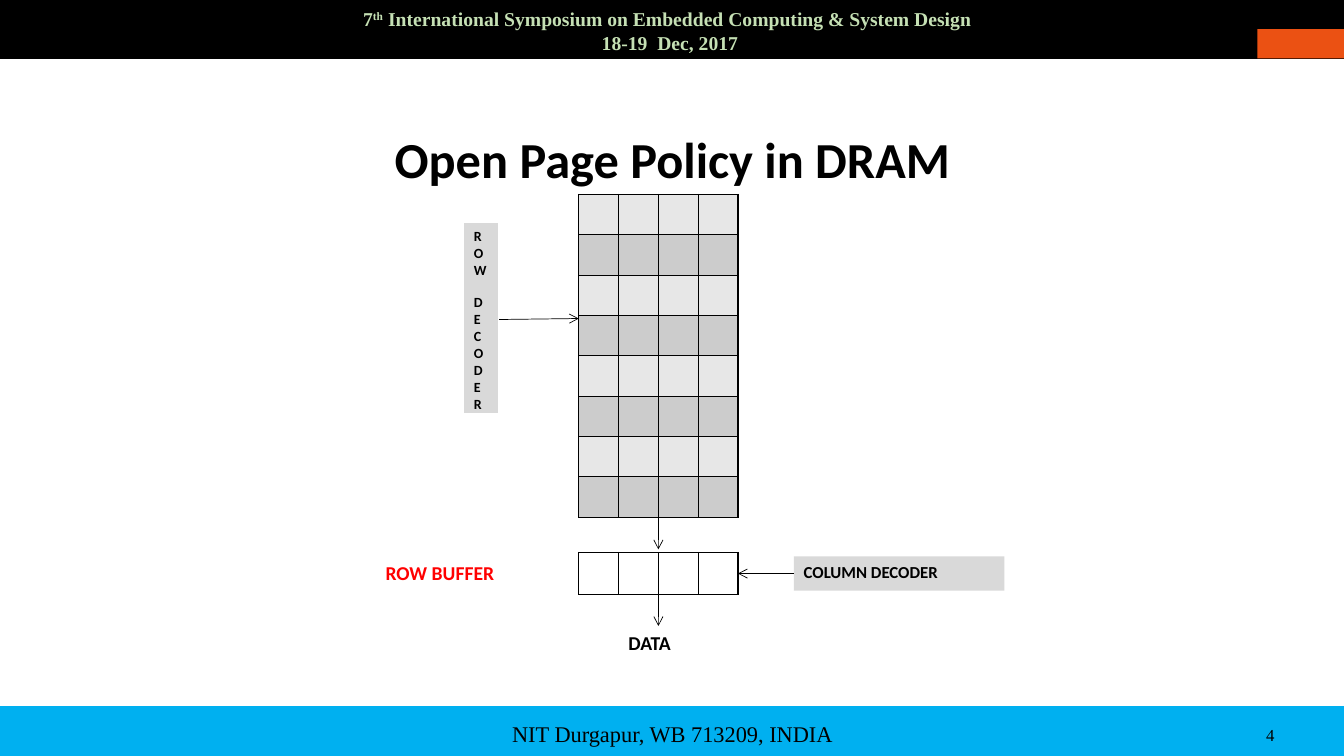
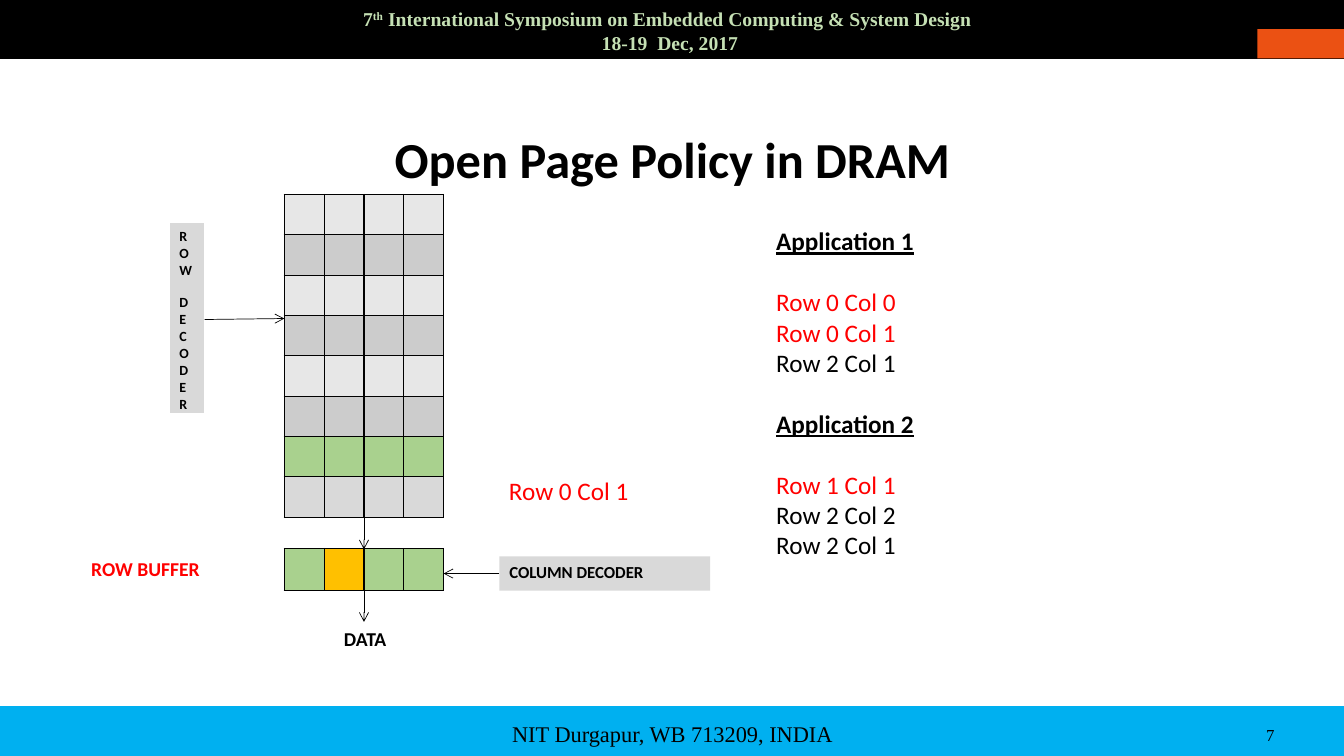
from lxml.etree import SubElement
from pptx import Presentation
from pptx.dml.color import RGBColor
from pptx.enum.shapes import MSO_CONNECTOR, MSO_SHAPE
from pptx.enum.text import MSO_ANCHOR, PP_ALIGN
from pptx.oxml.ns import qn
from pptx.util import Inches, Pt

BLACK = RGBColor(0x00, 0x00, 0x00)
WHITE = RGBColor(0xFF, 0xFF, 0xFF)
RED = RGBColor(0xFF, 0x00, 0x00)
FOOTER_BLUE = RGBColor(0x00, 0xB0, 0xF0)
HEADER_GREEN = RGBColor(0xC5, 0xE0, 0xB4)
CORNER_ORANGE = RGBColor(0xEB, 0x51, 0x13)
LIGHT_GREY = RGBColor(0xE7, 0xE7, 0xE7)
MID_GREY = RGBColor(0xCC, 0xCC, 0xCC)
LABEL_GREY = RGBColor(0xD9, 0xD9, 0xD9)
OPEN_GREEN = RGBColor(0xA9, 0xD1, 0x8E)
HIT_AMBER = RGBColor(0xFF, 0xC0, 0x00)

SANS, SERIF = "Calibri", "Times New Roman"
SLIDE_W, SLIDE_H = 13.33, 7.5
HEADER_H, FOOTER_H = 0.58, 0.49
CORNER_W, CORNER_H = 0.86, 0.29

# Memory grid: lengths inside the diagram are counted in these columns and rows
COLS, ROWS = 4, 8
COL, ROW = 0.395, 0.4
GRID_TOP = 1.93
GRID_W, GRID_BOTTOM = COLS * COL, GRID_TOP + ROWS * ROW
BUFFER_H = 0.42
STRIPES = [LIGHT_GREY, MID_GREY] * (ROWS // 2)


def box(left, top, width, height):
    return [Inches(length) for length in (left, top, width, height)]


def add_run(paragraph, text, size, color=BLACK, bold=False, font=SANS,
            underline=None, baseline=None):
    run = paragraph.add_run()
    run.text = text
    run.font.name, run.font.size = font, Pt(size)
    run.font.bold, run.font.underline = bold, underline
    run.font.color.rgb = color
    if baseline:
        run.font._element.set("baseline", str(baseline))


def add_text(slide, place, text=None, size=18, align=PP_ALIGN.LEFT,
             anchor=MSO_ANCHOR.TOP, **style):
    """Add a wrapping text box and return its frame."""
    frame = slide.shapes.add_textbox(*box(*place)).text_frame
    frame.word_wrap = True
    frame.vertical_anchor = anchor
    frame.paragraphs[0].alignment = align
    if text:
        add_run(frame.paragraphs[0], text, size, **style)
    return frame


def add_rect(slide, place, fill, outlined=False):
    rect = slide.shapes.add_shape(MSO_SHAPE.RECTANGLE, *box(*place))
    rect.shadow.inherit = False
    rect.fill.solid()
    rect.fill.fore_color.rgb = fill
    if outlined:
        rect.line.color.rgb = fill
        rect.line.width = Pt(1)
    else:
        rect.line.fill.background()
    return rect.text_frame


def add_arrow(slide, start, end):
    arrow = slide.shapes.add_connector(
        MSO_CONNECTOR.STRAIGHT, *box(*start, *end))
    arrow.line.color.rgb = BLACK
    arrow.line.width = Pt(0.5)
    SubElement(arrow.line._get_or_add_ln(), qn("a:tailEnd"), type="arrow")
    SubElement(arrow._element.spPr, qn("a:effectLst"))


def border_cell(cell, color):
    properties = cell._tc.get_or_add_tcPr()
    for index, side in enumerate(("lnL", "lnR", "lnT", "lnB")):
        edge = SubElement(properties, qn(f"a:{side}"), w=str(Pt(1)))
        fill = SubElement(edge, qn("a:solidFill"))
        SubElement(fill, qn("a:srgbClr"), val=str(color))
        properties.insert(index, edge)


def add_cells(slide, place, fills, border=BLACK):
    """Add a bordered table with one cell for each colour in the rows of fills."""
    table = slide.shapes.add_table(
        len(fills), len(fills[0]), *box(*place)).table
    table.first_row = table.horz_banding = False
    for r, row_fills in enumerate(fills):
        for c, color in enumerate(row_fills):
            cell = table.cell(r, c)
            cell.margin_top = cell.margin_bottom = 0
            cell.fill.solid()
            cell.fill.fore_color.rgb = color
            border_cell(cell, border)
    return table


def add_frame(slide, title, number):
    """Add the bands, corner block, header, footer and title."""
    add_rect(slide, (0, SLIDE_H - FOOTER_H, SLIDE_W, FOOTER_H),
             FOOTER_BLUE, outlined=True)
    add_rect(slide, (0, 0, SLIDE_W, HEADER_H), BLACK, outlined=True)
    add_rect(slide, (SLIDE_W - CORNER_W, HEADER_H - CORNER_H,
                     CORNER_W, CORNER_H), CORNER_ORANGE)

    heading = add_text(slide, (1.67, 1.23, 10, 0.7), title, 36,
                       PP_ALIGN.CENTER, MSO_ANCHOR.BOTTOM, bold=True)
    heading.paragraphs[0].line_spacing = 0.9
    add_text(slide, (10.33, 7.09, 2.41, 0.4), str(number), 12,
             PP_ALIGN.RIGHT, MSO_ANCHOR.MIDDLE, font=SERIF)
    add_text(slide, (4.42, 7.08, 4.5, 0.4), "NIT Durgapur, WB 713209, INDIA",
             16, PP_ALIGN.CENTER, MSO_ANCHOR.MIDDLE, font=SERIF)

    style = dict(size=14, color=HEADER_GREEN, bold=True, font=SERIF)
    header = add_text(slide, (1.44, 0.02, 10.41, 0.81), "7",
                      align=PP_ALIGN.CENTER, **style)
    symposium = header.paragraphs[0]
    add_run(symposium, "th", baseline=30000, **style)
    add_run(symposium,
            " International Symposium on Embedded Computing & System Design ",
            **style)
    dates = header.add_paragraph()
    dates.alignment = PP_ALIGN.CENTER
    add_run(dates, "18-19  Dec, 2017", **style)


def add_row_decoder(slide, right):
    width, height = 0.35, 1.89
    table = add_cells(slide, (right - width, 2.21, width, height),
                      [[LABEL_GREY]], WHITE)
    cell = table.cell(0, 0)
    cell.margin_top = Inches(0.05)
    frame = cell.text_frame
    letter_line = frame.paragraphs[0]
    for word in ("ROW", "DECODER"):
        for position, letter in enumerate(word):
            if (word, position) != ("ROW", 0):
                letter_line = frame.add_paragraph()
            if word == "DECODER" and position == 0:
                letter_line.space_before = Pt(11)
            add_run(letter_line, letter, 10, bold=True)


def add_memory(slide, left, row_fills, buffer_top, buffer_fills, data_column):
    """Add the memory grid, its decoders, the row buffer and the data path."""
    middle, right = left + GRID_W / 2, left + GRID_W
    add_cells(slide, (left, GRID_TOP, GRID_W, ROWS * ROW),
              [[color] * COLS for color in row_fills])
    add_arrow(slide, (middle, GRID_BOTTOM), (middle, 5.45))

    decoder_right = left - 2 * COL
    add_row_decoder(slide, decoder_right)
    add_arrow(slide, (decoder_right, 3.17), (left, 3.16))

    add_cells(slide, (left, buffer_top, GRID_W, BUFFER_H), [buffer_fills])
    add_text(slide, (left - 5.1 * COL, buffer_top + 0.1 * ROW, 1.75, 0.38),
             "ROW BUFFER", 14, color=RED, bold=True)

    decoder_left, decoder_top, decoder_h = right + 1.4 * COL, 5.52, 0.34
    decoder = add_rect(
        slide, (decoder_left, decoder_top, 2.09, decoder_h), LABEL_GREY)
    decoder.vertical_anchor = MSO_ANCHOR.TOP
    decoder.paragraphs[0].alignment = PP_ALIGN.LEFT
    add_run(decoder.paragraphs[0], "COLUMN DECODER", 12, bold=True)
    decoder_middle = decoder_top + decoder_h / 2
    add_arrow(slide, (decoder_left, decoder_middle), (right, decoder_middle))

    buffer_bottom = buffer_top + BUFFER_H
    data_top = buffer_bottom + 0.31
    add_arrow(slide, (middle, buffer_bottom), (middle, data_top))
    add_text(slide, (left + data_column * COL, data_top, 0.77, 0.33),
             "DATA", 14, bold=True)


def add_applications(slide, applications):
    """List each application's accesses, with those already served in red."""
    frame = add_text(slide, (7.6, 2.19, 4.77, 3.46))
    for index, (name, served, waiting) in enumerate(applications):
        heading = frame.add_paragraph() if index else frame.paragraphs[0]
        if index:
            heading.space_before = Pt(22)
        heading.space_after = Pt(22)
        add_run(heading, name, 18, bold=True, underline=True)
        for accesses, color in ((served, RED), (waiting, BLACK)):
            for access in accesses:
                add_run(frame.add_paragraph(), access, 18, color)


def main():
    deck = Presentation()
    deck.slide_width, deck.slide_height = Inches(SLIDE_W), Inches(SLIDE_H)
    blank = deck.slide_layouts[6]
    title = "Open Page Policy in DRAM"

    idle = deck.slides.add_slide(blank)
    add_frame(idle, title, 4)
    add_memory(idle, 5.74, STRIPES, 5.48, [WHITE] * COLS, data_column=1)

    access = deck.slides.add_slide(blank)
    add_frame(access, title, 7)
    add_memory(access, 2.82, STRIPES[:-2] + [OPEN_GREEN, LABEL_GREY], 5.44,
               [OPEN_GREEN, HIT_AMBER, OPEN_GREEN, OPEN_GREEN],
               data_column=1.25)
    add_applications(access, [
        ("Application 1", ["Row 0 Col 0", "Row 0 Col 1"], ["Row 2 Col 1"]),
        ("Application 2", ["Row 1 Col 1"], ["Row 2 Col 2", "Row 2 Col 1"]),
    ])
    add_text(access, (4.95, 4.67, 1.86, 0.46), "Row 0 Col 1", color=RED)

    deck.save("out.pptx")


if __name__ == "__main__":
    main()
